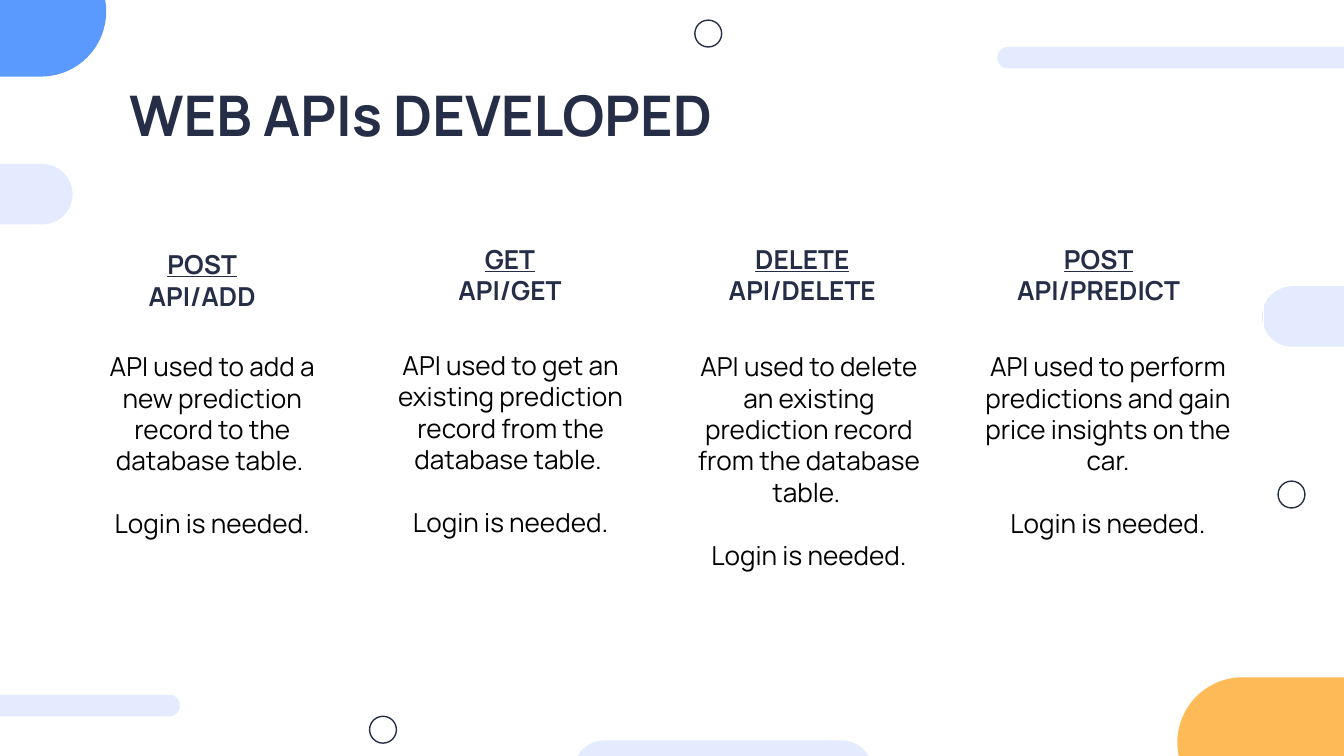
from typing import NamedTuple

import pptx
import pptx.dml.color
import pptx.enum.shapes
import pptx.enum.text
import pptx.util

Inches = pptx.util.Inches
Pt = pptx.util.Pt
RGBColor = pptx.dml.color.RGBColor
Shape = pptx.enum.shapes.MSO_SHAPE
Align = pptx.enum.text.PP_ALIGN

SLIDE_WIDTH = Inches(10)
SLIDE_HEIGHT = SLIDE_WIDTH * 9 // 16
NAVY = RGBColor(0x26, 0x2E, 0x47)
BLUE = RGBColor(0x5A, 0x9A, 0xFF)
PALE_BLUE = RGBColor(0xE4, 0xEB, 0xFF)
ORANGE = RGBColor(0xFF, 0xBA, 0x58)
BLACK = RGBColor(0, 0, 0)
WHITE = RGBColor(0xFF, 0xFF, 0xFF)
FONT = "Manrope"
LINE_WIDTH = Pt(0.75)
RING_SIZE = 0.2
LOGIN_NOTE = "Login is needed."


class Box(NamedTuple):
    left: float
    top: float
    width: float
    height: float

    def lengths(self) -> list[int]:
        return [Inches(value) for value in self]


class Pill(NamedTuple):
    box: Box
    color: RGBColor


class Endpoint(NamedTuple):
    method: str
    route: str
    heading_box: Box
    description: str
    description_box: Box


PILLS = [
    Pill(Box(-3.48, -0.4, 4.27, 0.97), BLUE),
    Pill(Box(8.76, 5.04, 3.81, 0.97), ORANGE),
    Pill(Box(7.42, 0.35, 3.81, 0.16), PALE_BLUE),
    Pill(Box(-2.47, 5.17, 3.81, 0.16), PALE_BLUE),
    Pill(Box(-1.68, 1.22, 2.22, 0.45), PALE_BLUE),
    Pill(Box(4.27, 5.51, 2.22, 0.45), PALE_BLUE),
    Pill(Box(9.39, 2.13, 2.22, 0.45), PALE_BLUE),
]
RING_CORNERS = [(2.75, 5.33), (5.17, 0.15), (9.51, 3.58)]

ENDPOINTS = [
    Endpoint("POST", "API/ADD", Box(0.69, 1.8, 1.63, 0.81),
             "API used to add a new prediction record to the database table. ",
             Box(0.62, 2.56, 1.92, 1.51)),
    Endpoint("GET", "API/GET", Box(2.98, 1.76, 1.63, 0.81),
             "API used to get an existing prediction record from the database table. ",
             Box(2.84, 2.55, 1.92, 1.75)),
    Endpoint("DELETE", "API/DELETE", Box(4.61, 1.76, 2.72, 0.81),
             "API used to delete an existing prediction record from the database table. ",
             Box(5.06, 2.56, 1.92, 1.75)),
    Endpoint("POST", "API/PREDICT", Box(6.95, 1.76, 2.45, 0.81),
             "API used to perform predictions and gain price insights on the car.",
             Box(7.23, 2.56, 2.03, 1.75)),
]


def write_text(frame, lines: list[str], *, size: float = 14, color: RGBColor = BLACK,
               bold: bool = False, underline_first: bool = False,
               align: Align = Align.CENTER, gap: float = 0) -> None:
    """Fill a text frame with one paragraph per line, gap points apart."""
    frame.word_wrap = True
    frame.auto_size = pptx.enum.text.MSO_AUTO_SIZE.NONE
    frame.vertical_anchor = pptx.enum.text.MSO_ANCHOR.TOP
    for index, line in enumerate(lines):
        paragraph = frame.add_paragraph() if index else frame.paragraphs[0]
        paragraph.alignment = align
        paragraph.space_before = Pt(gap if index else 0)
        run = paragraph.add_run()
        run.text = line
        run.font.name = FONT
        run.font.size = Pt(size)
        run.font.bold = bold
        run.font.underline = underline_first and index == 0
        run.font.color.rgb = color


def draw_pill(slide, pill: Pill) -> None:
    bar = slide.shapes.add_shape(Shape.ROUNDED_RECTANGLE, *pill.box.lengths())
    bar.adjustments[0] = 0.5
    bar.shadow.inherit = False
    bar.fill.solid()
    bar.fill.fore_color.rgb = pill.color
    bar.line.fill.background()


def draw_outline(slide, preset: Shape, box: Box, color: RGBColor):
    outline = slide.shapes.add_shape(preset, *box.lengths())
    outline.shadow.inherit = False
    outline.fill.background()
    outline.line.color.rgb = color
    outline.line.width = LINE_WIDTH
    return outline


def draw_endpoint(slide, endpoint: Endpoint) -> None:
    heading = draw_outline(slide, Shape.RECTANGLE, endpoint.heading_box, WHITE)
    write_text(heading.text_frame, [endpoint.method, endpoint.route],
               color=NAVY, bold=True, underline_first=True)
    description = slide.shapes.add_textbox(*endpoint.description_box.lengths())
    write_text(description.text_frame, [endpoint.description, LOGIN_NOTE], gap=16.8)


def draw_title(slide, text: str, box: Box) -> None:
    title = slide.shapes.title
    title.left, title.top, title.width, title.height = box.lengths()
    frame = title.text_frame
    frame.margin_left = frame.margin_right = Inches(0.1)
    frame.margin_top = frame.margin_bottom = Inches(0.1)
    write_text(frame, [text], size=30, color=NAVY, bold=True, align=Align.LEFT)


def main() -> None:
    deck = pptx.Presentation()
    deck.slide_width, deck.slide_height = SLIDE_WIDTH, SLIDE_HEIGHT
    title_only = deck.slide_layouts.get_by_name("Title Only")
    slide = deck.slides.add_slide(title_only)
    slide.background.fill.solid()
    slide.background.fill.fore_color.rgb = WHITE

    for pill in PILLS:
        draw_pill(slide, pill)
    for left, top in RING_CORNERS:
        draw_outline(slide, Shape.OVAL, Box(left, top, RING_SIZE, RING_SIZE), NAVY)
    draw_title(slide, "WEB APIs DEVELOPED", Box(0.86, 0.5, 7.99, 0.58))
    for endpoint in ENDPOINTS:
        draw_endpoint(slide, endpoint)

    deck.save("out.pptx")


if __name__ == "__main__":
    main()
